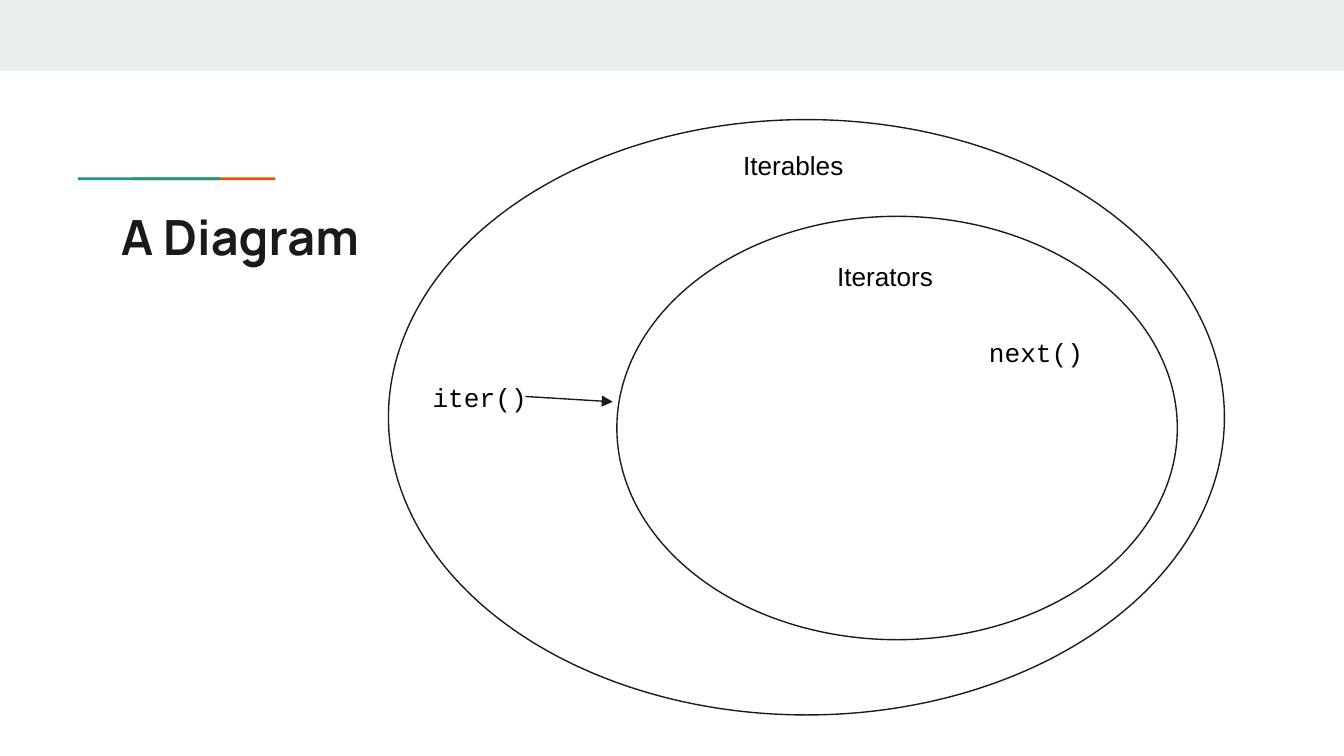
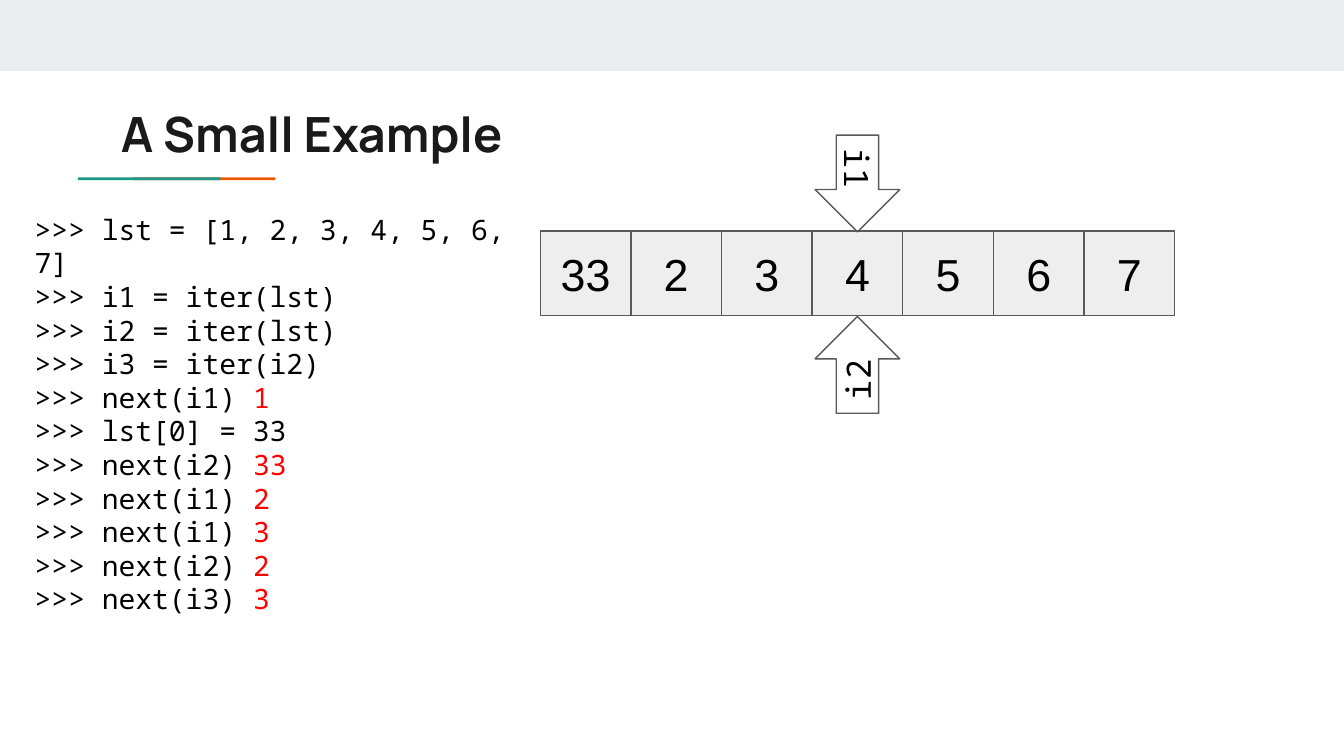
from lxml import etree
from pptx import Presentation
from pptx.dml.color import RGBColor
from pptx.enum.shapes import MSO_CONNECTOR as Connector, MSO_SHAPE as Shape
from pptx.enum.text import MSO_ANCHOR as Anchor, MSO_AUTO_SIZE as AutoSize, PP_ALIGN as Align
from pptx.oxml.ns import qn
from pptx.util import Inches, Pt

BLACK = RGBColor(0x00, 0x00, 0x00)
INK = RGBColor(0x1A, 0x1A, 0x1A)
GRAY = RGBColor(0x59, 0x59, 0x59)
CELL = RGBColor(0xEE, 0xEE, 0xEE)
BAND = RGBColor(0xE9, 0xED, 0xEE)
ORANGE = RGBColor(0xEB, 0x56, 0x00)
TEAL = RGBColor(0x1A, 0x99, 0x88)
RED = RGBColor(0xFF, 0x00, 0x00)

TITLE_FONT, BODY_FONT = "Manrope", "Arial"
CALL_FONT, CODE_FONT = "Courier New", "Noto Sans Mono"
LINE_WIDTH = Pt(0.75)
TITLE_ONLY = 5

SESSION = [
    (">>> lst = [1, 2, 3, 4, 5, 6, 7]", ""),
    (">>> i1 = iter(lst)", ""),
    (">>> i2 = iter(lst)", ""),
    (">>> i3 = iter(i2)", ""),
    (">>> next(i1) ", "1"),
    (">>> lst[0] = 33", ""),
    (">>> next(i2) ", "33"),
    (">>> next(i1) ", "2"),
    (">>> next(i1) ", "3"),
    (">>> next(i2) ", "2"),
    (">>> next(i3) ", "3"),
]


def style(span, font, size, color=BLACK, bold=False):
    span.font.name = font
    span.font.size = Pt(size)
    span.font.color.rgb = color
    span.font.bold = bold


def set_frame(frame, anchor=Anchor.TOP, wrap=True):
    frame.word_wrap = wrap
    frame.auto_size = AutoSize.NONE
    frame.vertical_anchor = anchor
    frame.margin_left = frame.margin_right = Inches(0.1)
    frame.margin_top = frame.margin_bottom = Inches(0.1)


def set_text(shape, text, font, size, color=BLACK, bold=False,
             align=Align.LEFT, anchor=Anchor.TOP, wrap=True):
    frame = shape.text_frame
    set_frame(frame, anchor, wrap)
    frame.text = text
    para = frame.paragraphs[0]
    para.alignment = align
    style(para.runs[0], font, size, color, bold)


def add_box(page, kind, left, top, width, height, fill=None, line=None):
    shape = page.shapes.add_shape(
        kind, Inches(left), Inches(top), Inches(width), Inches(height))
    shape.shadow.inherit = False
    if fill is None:
        shape.fill.background()
    else:
        shape.fill.solid()
        shape.fill.fore_color.rgb = fill
    if line is None:
        shape.line.fill.background()
    else:
        shape.line.color.rgb = line
        shape.line.width = LINE_WIDTH
    return shape


def add_label(page, text, left, top, width, font):
    label = page.shapes.add_textbox(
        Inches(left), Inches(top), Inches(width), Inches(0.48))
    set_text(label, text, font, 14)


def add_arrow(page, start, end):
    arrow = page.shapes.add_connector(
        Connector.STRAIGHT, *(Inches(value) for value in (*start, *end)))
    arrow.line.color.rgb = INK
    arrow.line.width = LINE_WIDTH
    properties = arrow._element.spPr
    etree.SubElement(properties.find(qn("a:ln")), qn("a:tailEnd"), type="triangle")
    etree.SubElement(properties, qn("a:effectLst"))


def add_page(deck, title, title_top):
    """Add a slide with the top band, the two-colour accent and a title."""
    page = deck.slides.add_slide(deck.slide_layouts[TITLE_ONLY])
    add_box(page, Shape.RECTANGLE, 0, 0, 10, 0.53, BAND)
    for left, color in ((0.99, ORANGE), (0.58, TEAL)):
        add_box(page, Shape.RECTANGLE, left, 1.32, 1.06, 0.02, color)
    heading = page.shapes.title
    heading.left, heading.top = Inches(0.8), Inches(title_top)
    heading.width, heading.height = Inches(8.41), Inches(0.59)
    set_text(heading, title, TITLE_FONT, 26, INK, bold=True)
    return page


def add_set_diagram(page, left, top, width, height):
    """Draw the iterators as a subset of the iterables."""
    add_box(page, Shape.OVAL, left, top, width, height, line=INK)
    add_box(page, Shape.OVAL, left + 1.7, top + 0.72,
            width - 2.05, height - 1.28, line=INK)
    for text, x, y, label_width, font in (
        ("Iterables", 2.54, 0.12, 0.98, BODY_FONT),
        ("iter()", 0.23, 1.85, 0.98, CALL_FONT),
        ("Iterators", 3.24, 0.95, 1.13, BODY_FONT),
        ("next()", 4.37, 1.51, 1.07, CALL_FONT),
    ):
        add_label(page, text, left + x, top + y, label_width, font)
    add_arrow(page, (left + 1.02, top + 2.06), (left + 1.67, top + 2.1))


def add_session(page, left, top, width, height):
    """Write the interpreter session, with results in red."""
    box = page.shapes.add_textbox(
        Inches(left), Inches(top), Inches(width), Inches(height))
    frame = box.text_frame
    set_frame(frame)
    for index, (code, result) in enumerate(SESSION):
        para = frame.add_paragraph() if index else frame.paragraphs[0]
        para.line_spacing = Pt(18)
        for text, color in ((code, BLACK), (result, RED)):
            if text:
                span = para.add_run()
                span.text = text
                style(span, CODE_FONT, 15, color)


def add_list_cells(page, left, top, width, height, values):
    pitch = width / len(values)
    for index, value in enumerate(values):
        cell = add_box(page, Shape.RECTANGLE, left + index * pitch, top,
                       pitch, height, CELL, GRAY)
        set_text(cell, str(value), BODY_FONT, 24,
                 align=Align.CENTER, anchor=Anchor.MIDDLE)


def add_pointer(page, name, left, top, rotation):
    pointer = add_box(page, Shape.RIGHT_ARROW, left, top, 0.72, 0.63, line=GRAY)
    pointer.rotation = rotation
    set_text(pointer, name, CODE_FONT, 18, anchor=Anchor.MIDDLE)


def build_diagram_page(deck):
    page = add_page(deck, "A Diagram", 1.44)
    add_set_diagram(page, 2.89, 0.89, 6.22, 4.43)


def build_example_page(deck):
    page = add_page(deck, "A Small Example", 0.67)
    add_session(page, 0.16, 1.48, 3.85, 3.87)
    add_list_cells(page, 4.02, 1.72, 4.72, 0.63, [33, 2, 3, 4, 5, 6, 7])
    add_pointer(page, "i2", 6.02, 2.4, 270)
    add_pointer(page, "i1", 6.02, 1.05, 90)


def main():
    deck = Presentation()
    deck.slide_width = Inches(10)
    deck.slide_height = deck.slide_width * 9 // 16
    build_diagram_page(deck)
    build_example_page(deck)
    deck.save("out.pptx")


if __name__ == "__main__":
    main()
